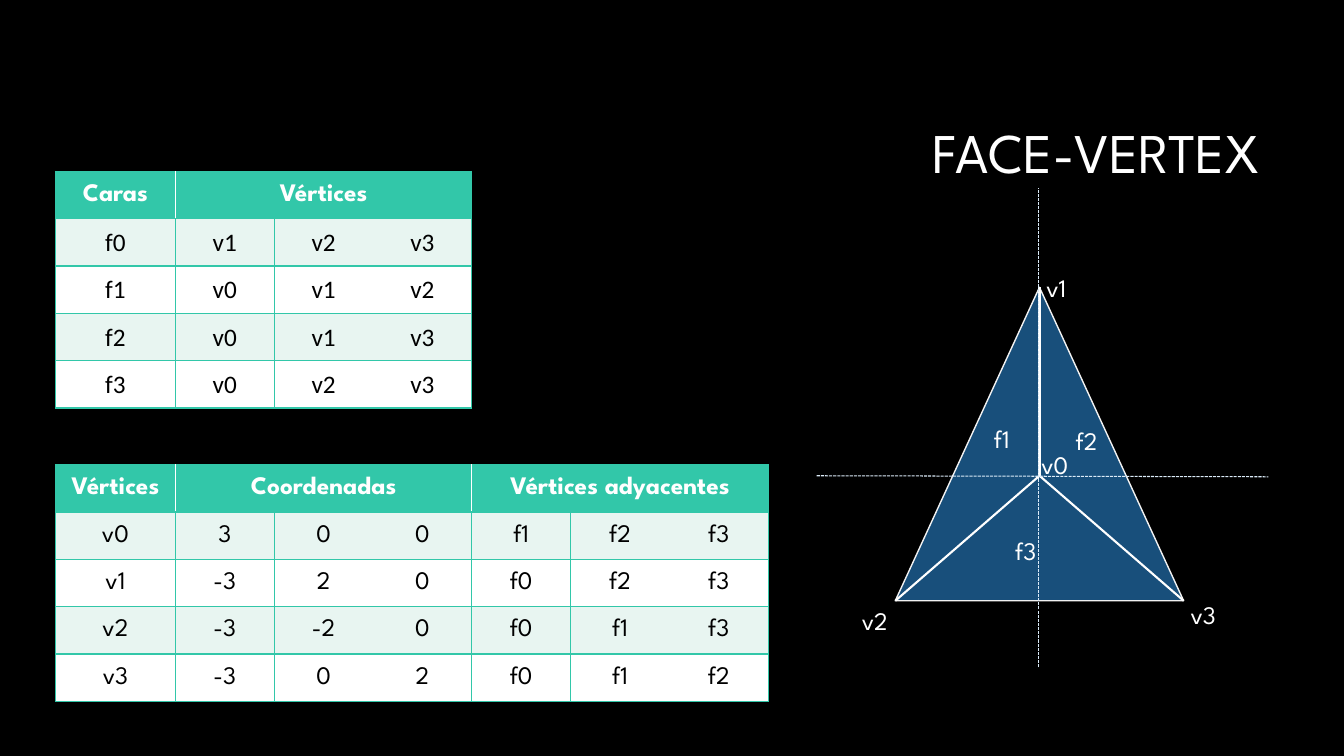
"""Face-vertex mesh slide: two lookup tables beside a triangle diagram."""
from dataclasses import dataclass

from lxml.etree import SubElement
from pptx import Presentation
from pptx.dml.color import RGBColor
from pptx.enum.dml import MSO_LINE
from pptx.enum.shapes import MSO_CONNECTOR, MSO_SHAPE
from pptx.enum.text import MSO_ANCHOR, PP_ALIGN
from pptx.oxml import parse_xml
from pptx.oxml.ns import nsdecls, qn
from pptx.util import Inches, Pt


@dataclass(frozen=True)
class Theme:
    black: str = "000000"
    white: str = "FFFFFF"
    teal: str = "32C7A9"
    mint: str = "E8F5F1"
    blue: str = "184F7B"
    outline: str = "F2F2F2"
    axis: str = "DBEBF8"
    font: str = "League Spartan"
    plain: str = "Calibri"
    title: int = 40
    body: int = 18


T = Theme()


def add_run(p, text, size=T.body, color=T.white, font=T.font, bold=False):
    r = p.add_run()
    r.text = text
    r.font.size, r.font.name, r.font.bold = Pt(size), font, bold
    r.font.color.rgb = RGBColor.from_string(color)


def add_line(s, start, end, color, width, dash=None):
    ln = s.shapes.add_connector(MSO_CONNECTOR.STRAIGHT, *map(Inches, start + end))
    ln.line.color.rgb = RGBColor.from_string(color)
    ln.line.width = Pt(width)
    if dash:
        ln.line.dash_style = dash
    SubElement(ln._element.spPr, qn("a:effectLst"))


prs = Presentation()
prs.slide_width, prs.slide_height = Inches(13.33), Inches(7.5)
s = prs.slides.add_slide(prs.slide_layouts[5])
s.background.fill.solid()
s.background.fill.fore_color.rgb = RGBColor.from_string(T.black)

title = s.shapes.title
title.left, title.top, title.width, title.height = map(Inches, (3.17, 0.84, 9.42, 1.41))
tf = title.text_frame
tf.vertical_anchor = MSO_ANCHOR.MIDDLE
p = tf.paragraphs[0]
p.alignment, p.line_spacing = PP_ALIGN.RIGHT, 0.9
add_run(p, "FACE-VERTEX", T.title)

LEFT, FIRST_COL, COL, ROW = 0.55, 1.19, 0.98, 0.47
tables = [
    (1.7, T.plain, ["Caras", "Vértices"],
     ["f0 v1 v2 v3", "f1 v0 v1 v2", "f2 v0 v1 v3", "f3 v0 v2 v3"]),
    (4.61, T.font, ["Vértices", "Coordenadas", "Vértices adyacentes"],
     ["v0 3 0 0 f1 f2 f3", "v1 -3 2 0 f0 f2 f3",
      "v2 -3 -2 0 f0 f1 f3", "v3 -3 0 2 f0 f1 f2"]),
]
for top, body_font, heads, lines in tables:
    header = heads[:1]
    for head in heads[1:]:
        header += [head, "", ""]
    rows = [header] + [line.split() for line in lines]
    n = len(header)
    width = FIRST_COL + COL * (n - 1)
    frame = s.shapes.add_table(len(rows), n, Inches(LEFT), Inches(top),
                               Inches(width), Inches(ROW * len(rows)))
    tbl = frame.table
    for c in range(n):
        tbl.columns[c].width = Inches(COL if c else FIRST_COL)
    for c in range(1, n, 3):
        tbl.cell(0, c).merge(tbl.cell(0, c + 2))
    for i, row in enumerate(rows):
        tbl.rows[i].height = Inches(ROW)
        edges = {x: T.white if i == 0 else T.teal
                 for x in range(n) if x % 3 == 1 or (i and x % 3 == 2)}
        edges.update({0: T.teal, n: T.teal})
        for c, text in enumerate(row):
            cell = tbl.cell(i, c)
            cell.fill.solid()
            fill = T.teal if i == 0 else T.mint if i % 2 else T.white
            cell.fill.fore_color.rgb = RGBColor.from_string(fill)
            cell.vertical_anchor = MSO_ANCHOR.MIDDLE
            cell.margin_left = cell.margin_right = cell.margin_top = Inches(0.01)
            cell.margin_bottom = 0
            span = cell.span_width if cell.is_merge_origin else 1
            sides = [("L", edges.get(c)), ("R", edges.get(c + span)),
                     ("T", T.teal), ("B", T.teal)]
            for k, (side, color) in enumerate(sides):
                paint = (f'<a:solidFill><a:srgbClr val="{color}"/></a:solidFill>'
                         if color else "<a:noFill/>")
                cell._tc.get_or_add_tcPr().insert(k, parse_xml(
                    f'<a:ln{side} {nsdecls("a")} w="{Pt(1)}">{paint}</a:ln{side}>'))
            if text:
                p = cell.text_frame.paragraphs[0]
                p.alignment = PP_ALIGN.CENTER
                add_run(p, text, color=T.black if i else T.white,
                        font=body_font if i else T.font, bold=i == 0)

center, apex, base_left, base_right = (10.31, 4.72), (10.31, 2.85), (8.88, 5.96), (11.74, 5.96)
tri = s.shapes.add_shape(MSO_SHAPE.ISOSCELES_TRIANGLE, *map(Inches, (
    base_left[0], apex[1], base_right[0] - base_left[0], base_left[1] - apex[1])))
tri.shadow.inherit = False
tri.fill.solid()
tri.fill.fore_color.rgb = RGBColor.from_string(T.blue)
tri.line.color.rgb = RGBColor.from_string(T.outline)
tri.line.width = Pt(1)
for corner in (base_left, base_right, apex):
    add_line(s, center, corner, T.white, 1.5)
add_line(s, (8.1, 4.72), (12.58, 4.73), T.axis, 0.75, MSO_LINE.SQUARE_DOT)
add_line(s, (10.3, 6.62), (10.3, 1.87), T.axis, 0.75, MSO_LINE.SQUARE_DOT)

labels = [("v1", 10.28, 2.65), ("v0", 10.23, 4.41), ("v2", 8.45, 5.96), ("v3", 11.71, 5.9),
          ("f1", 9.76, 4.15), ("f2", 10.57, 4.17), ("f3", 9.97, 5.26)]
for text, x, y in labels:
    tf = s.shapes.add_textbox(*map(Inches, (x, y, 0.87, 0.4))).text_frame
    tf.word_wrap = True
    add_run(tf.paragraphs[0], text)

prs.save("out.pptx")
